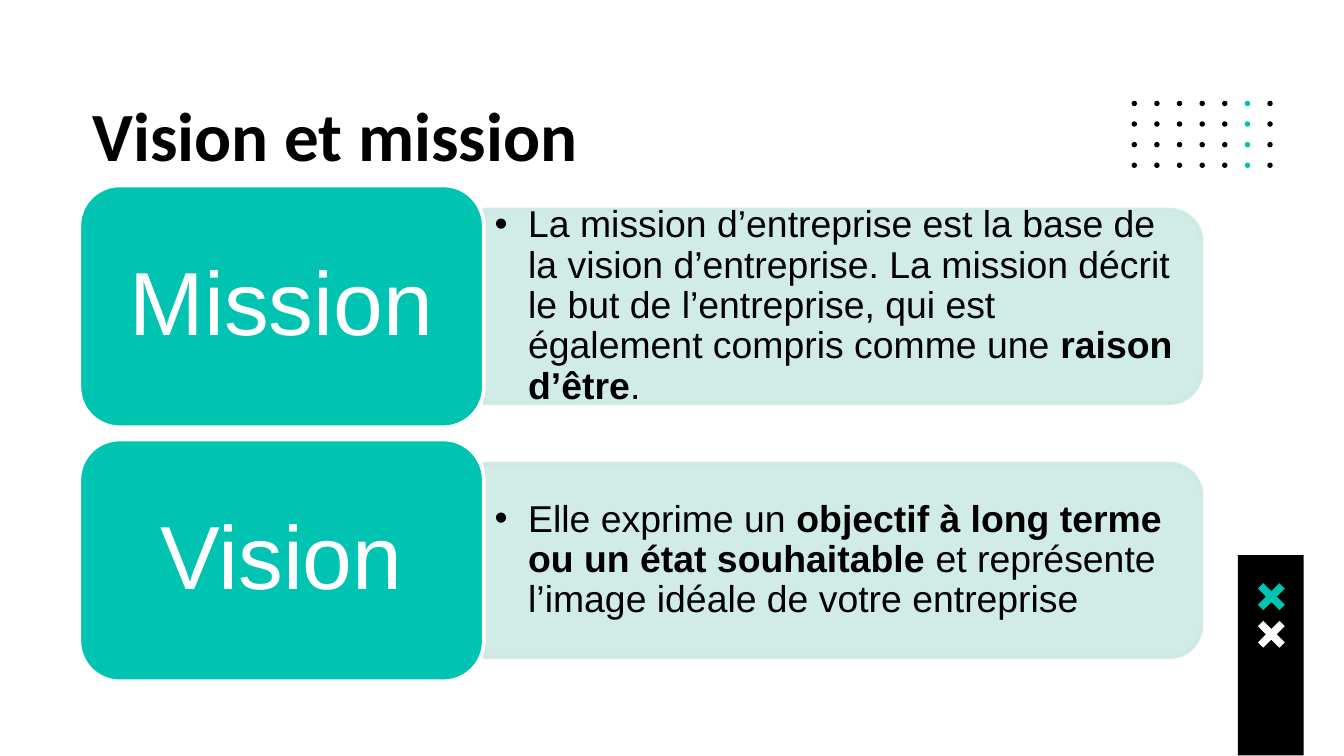
from dataclasses import dataclass

import lxml.etree
import pptx
import pptx.dml.color
import pptx.enum.shapes
import pptx.enum.text
import pptx.oxml.ns
import pptx.util

Inches = pptx.util.Inches
Pt = pptx.util.Pt
SHAPE = pptx.enum.shapes.MSO_SHAPE
ANCHOR = pptx.enum.text.MSO_ANCHOR
ALIGN = pptx.enum.text.PP_ALIGN
qn = pptx.oxml.ns.qn

COLORS = {"black": "000000", "white": "FFFFFF", "teal": "00C3B1", "mint": "CCE9E4"}


@dataclass
class Box:
    left: float
    top: float
    width: float
    height: float


@dataclass
class Concept:
    label: str
    runs: list[tuple[str, bool]]  # text, bold


CONCEPTS = [
    Concept("Mission", [
        ("La mission d’entreprise est la base de la vision d’entreprise. "
         "La mission décrit le but de l’entreprise, qui est également "
         "compris comme une ", False),
        ("raison d’être", True),
        (".", False),
    ]),
    Concept("Vision", [
        ("Elle exprime un ", False),
        ("objectif à long terme ou un état souhaitable ", True),
        ("et représente l’image idéale de votre entreprise", False),
    ]),
]

TILE = Box(0.59, 1.38, 3.01, 1.8)
PITCH = 1.89
PANEL_WIDTH, PANEL_HEIGHT = 5.34, 1.44


def rgb(name: str) -> pptx.dml.color.RGBColor:
    return pptx.dml.color.RGBColor.from_string(COLORS[name])


def place(s, box: Box) -> None:
    s.left, s.top = Inches(box.left), Inches(box.top)
    s.width, s.height = Inches(box.width), Inches(box.height)


def paint(s, fill: str, line: str | None = None, alpha: int = 100) -> None:
    """Set fill and outline, with alpha as a percentage of opacity."""
    s.shadow.inherit = False
    s.fill.solid()
    s.fill.fore_color.rgb = rgb(fill)
    if line:
        s.line.color.rgb = rgb(line)
        s.line.width = Pt(2)
    else:
        s.line.fill.background()
    if alpha < 100:
        for clr in s._element.spPr.iter(qn("a:srgbClr")):
            lxml.etree.SubElement(clr, qn("a:alpha"), val=str(alpha * 1000))


def add_shape(slide, kind, box: Box, fill: str, line: str | None = None,
              alpha: int = 100):
    s = slide.shapes.add_shape(kind, 0, 0, 0, 0)
    place(s, box)
    paint(s, fill, line, alpha)
    return s


def write(s, runs: list[tuple[str, bool]], *, size: float, font: str = "Arial",
          color: str = "black", align=ALIGN.LEFT, anchor=ANCHOR.MIDDLE,
          inset: tuple[float, float] = (0.1, 0.1), spacing: float = 1.0,
          bullet: bool = False) -> None:
    """Fill a shape with one paragraph; inset is horizontal, vertical."""
    tf = s.text_frame
    tf.word_wrap = True
    tf.auto_size = pptx.enum.text.MSO_AUTO_SIZE.NONE
    tf.vertical_anchor = anchor
    tf.margin_left = tf.margin_right = Inches(inset[0])
    tf.margin_top = tf.margin_bottom = Inches(inset[1])
    p = tf.paragraphs[0]
    p.alignment = align
    p.line_spacing = spacing
    p.space_before = Pt(0)
    if bullet:
        pPr = p._p.get_or_add_pPr()
        pPr.set("marL", str(Inches(0.25)))
        pPr.set("indent", str(-Inches(0.25)))
        clr = lxml.etree.SubElement(pPr, qn("a:buClr"))
        lxml.etree.SubElement(clr, qn("a:srgbClr"), val=COLORS[color])
        lxml.etree.SubElement(pPr, qn("a:buChar"), char="•")
    for text, bold in runs:
        r = p.add_run()
        r.text = text
        r.font.name = font
        r.font.size = Pt(size)
        r.font.bold = bold
        r.font.color.rgb = rgb(color)


def add_dot_grid(slide) -> None:
    for row in range(4):
        for col in range(7):
            box = Box(8.42 + col * 1.01 / 6, 0.75 + row * 0.46 / 3, 0.04, 0.04)
            add_shape(slide, SHAPE.OVAL, box, "teal" if col == 5 else "black")


def add_cross(slide, x: float, y: float, color: str) -> None:
    """Draw a diagonal cross around x, y from one arm turned four times."""
    arm = [(-0.06, -0.1), (-0.1, -0.06), (-0.04, 0)]
    points = []
    for _ in range(4):
        points += [(Inches(x + dx), Inches(y + dy)) for dx, dy in arm]
        arm = [(dy, -dx) for dx, dy in arm]
    builder = slide.shapes.build_freeform(*points[0])
    builder.add_line_segments(points[1:], close=True)
    paint(builder.convert_to_shape(), color)


def add_concept(slide, concept: Concept, body, top: float) -> None:
    middle = top + TILE.height / 2
    right = TILE.left + TILE.width
    # The panel is a standing shape turned a quarter, so its sides are swapped.
    panel = add_shape(
        slide, SHAPE.ROUND_2_SAME_RECTANGLE,
        Box(right + (PANEL_WIDTH - PANEL_HEIGHT) / 2, middle - PANEL_WIDTH / 2,
            PANEL_HEIGHT, PANEL_WIDTH),
        "mint", line="mint", alpha=90)
    panel.rotation = 90

    slide.shapes._spTree.append(body._element)  # bring in front of the panel
    place(body, Box(right, middle - 0.65, 5.25, 1.3))
    write(body, concept.runs, size=20, inset=(0.08, 0.04), spacing=0.9, bullet=True)

    add_shape(slide, SHAPE.ROUNDED_RECTANGLE,
              Box(TILE.left, top, TILE.width, TILE.height), "teal", line="white")
    label = slide.shapes.add_textbox(0, 0, 0, 0)
    place(label, Box(TILE.left + 0.09, top + 0.09,
                     TILE.width - 0.18, TILE.height - 0.18))
    write(label, [(concept.label, False)], size=48, color="white",
          align=ALIGN.CENTER, inset=(0.2, 0.1), spacing=0.9)


def main() -> None:
    prs = pptx.Presentation()
    prs.slide_width = Inches(10)
    prs.slide_height = prs.slide_width * 9 // 16
    slide = prs.slides.add_slide(prs.slide_layouts.get_by_name("Two Content"))
    title, *bodies = slide.placeholders

    add_dot_grid(slide)
    add_shape(slide, SHAPE.RECTANGLE, Box(9.21, 4.13, 0.49, 1.49), "black")
    add_cross(slide, 9.46, 4.44, "teal")
    add_cross(slide, 9.46, 4.72, "white")

    place(title, Box(0.59, 0.59, 8.86, 0.79))
    write(title, [("Vision et mission", True)], size=37, font="Calibri",
          anchor=ANCHOR.TOP)
    for i, (concept, body) in enumerate(zip(CONCEPTS, bodies)):
        add_concept(slide, concept, body, TILE.top + i * PITCH)

    prs.save("out.pptx")


if __name__ == "__main__":
    main()
